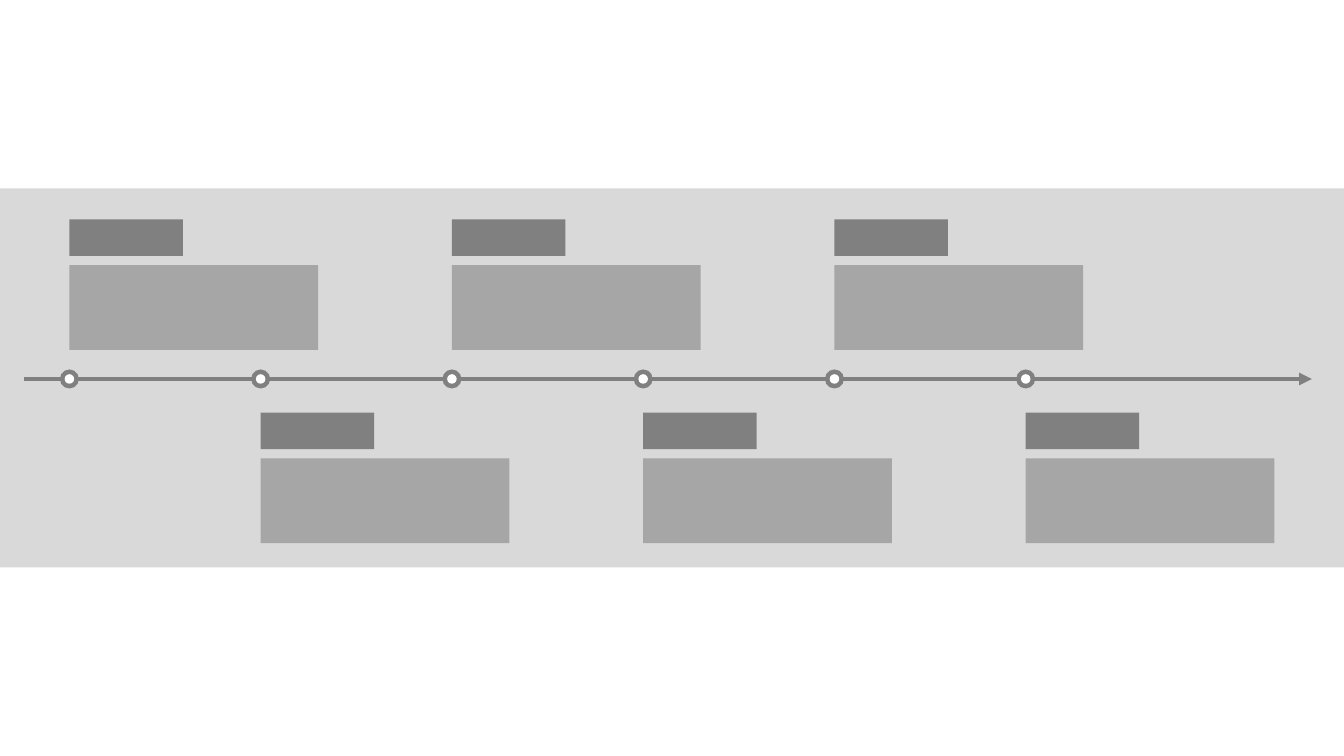
"""Build a timeline slide with six milestones alternating above and below an arrow."""
from lxml.etree import SubElement
from pptx import Presentation
from pptx.dml.color import RGBColor
from pptx.enum.shapes import MSO_CONNECTOR as Connector, MSO_SHAPE as Shape
from pptx.oxml.ns import qn
from pptx.util import Cm, Pt

COLORS = {"band": "D9D9D9", "dark": "808080", "body": "A6A6A6", "white": "FFFFFF"}
MILESTONES = 6
FIRST_X, PITCH = 1.75, 4.82
LABEL_TOPS = (5.53, 10.4)
BODY_OFFSET = 1.15
AXIS_Y = 9.55


def add_filled(shapes, kind, left, top, width, height, color):
    shape = shapes.add_shape(kind, Cm(left), Cm(top), Cm(width), Cm(height))
    shape.shadow.inherit = False
    shape.fill.solid()
    shape.fill.fore_color.rgb = RGBColor.from_string(COLORS[color])
    shape.line.fill.background()


presentation = Presentation()
presentation.slide_width, presentation.slide_height = Cm(33.87), Cm(19.05)
slide = presentation.slides.add_slide(presentation.slide_layouts[6])

add_filled(slide.shapes, Shape.RECTANGLE, 0, 4.75, 33.87, 9.55, "band")

milestone_xs = [FIRST_X + PITCH * index for index in range(MILESTONES)]
for index, x in enumerate(milestone_xs):
    top = LABEL_TOPS[index % 2]
    card = slide.shapes.add_group_shape()
    add_filled(card.shapes, Shape.RECTANGLE, x, top, 2.86, 0.92, "dark")
    add_filled(card.shapes, Shape.RECTANGLE, x, top + BODY_OFFSET, 6.27, 2.14, "body")

axis = slide.shapes.add_connector(
    Connector.STRAIGHT, Cm(0.6), Cm(AXIS_Y), Cm(33.06), Cm(AXIS_Y)
)
axis.line.color.rgb = RGBColor.from_string(COLORS["dark"])
axis.line.width = Pt(3)
SubElement(axis.line._get_or_add_ln(), qn("a:tailEnd"), type="triangle")
SubElement(axis._element.spPr, qn("a:effectLst"))

for x in milestone_xs:
    marker = slide.shapes.add_group_shape()
    for size, color in ((0.48, "dark"), (0.24, "white")):
        add_filled(
            marker.shapes, Shape.OVAL, x - size / 2, AXIS_Y - size / 2, size, size, color
        )

presentation.save("out.pptx")
